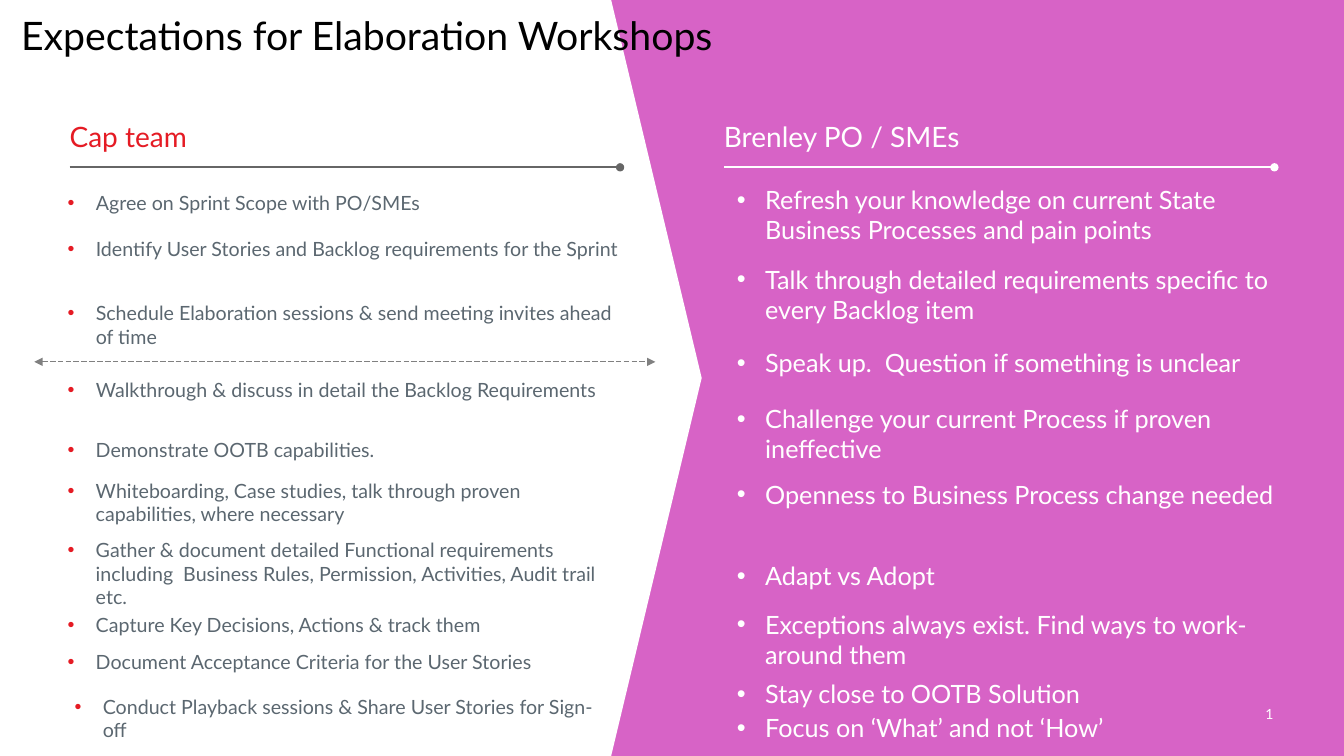
from dataclasses import dataclass

from lxml.etree import SubElement
from pptx import Presentation
from pptx.dml.color import RGBColor
from pptx.enum.dml import MSO_LINE
from pptx.enum.shapes import MSO_CONNECTOR, MSO_SHAPE
from pptx.enum.text import MSO_ANCHOR, PP_ALIGN
from pptx.oxml.ns import qn
from pptx.util import Inches, Pt


@dataclass(frozen=True)
class Theme:
    font: str = "Lato"
    orchid: str = "D763C6"
    white: str = "FFFFFF"
    black: str = "000000"
    red: str = "E51B24"
    slate: str = "5B6770"
    rule: str = "666666"
    divider: str = "808080"
    title_size: int = 28
    heading_size: int = 20
    team_size: int = 14
    client_size: int = 18
    number_size: int = 10


THEME = Theme()

# Each item: left, top, width, height, text
TEAM_ITEMS = [
    (0.54, 1.89, 5.61, 0.47, "Agree on Sprint Scope with PO/SMEs"),
    (0.54, 2.35, 5.61, 0.51, "Identify User Stories and Backlog requirements for the Sprint"),
    (0.54, 2.99, 5.61, 0.63, "Schedule Elaboration sessions & send meeting invites ahead of time"),
    (0.54, 3.75, 5.61, 0.63, "Walkthrough & discuss in detail the Backlog Requirements"),
    (0.54, 4.34, 5.46, 0.54, "Demonstrate OOTB capabilities."),
    (0.54, 4.75, 5.46, 0.5, "Whiteboarding, Case studies, talk through proven capabilities, where necessary"),
    (0.54, 5.34, 5.46, 0.59, "Gather & document detailed Functional requirements including  Business Rules, "
                             "Permission, Activities, Audit trail etc."),
    (0.54, 6.08, 5.46, 0.32, "Capture Key Decisions, Actions & track them"),
    (0.54, 6.45, 5.46, 0.38, "Document Acceptance Criteria for the User Stories"),
    (0.61, 6.89, 5.46, 0.57, "Conduct Playback sessions & Share User Stories for Sign-off"),
]
CLIENT_ITEMS = [
    (7.18, 1.83, 5.73, 0.63, "Refresh your knowledge on current State Business Processes and pain points"),
    (7.18, 2.62, 5.46, 0.32, "Talk through detailed requirements specific to every Backlog item"),
    (7.18, 3.45, 5.46, 0.32, "Speak up.  Question if something is unclear"),
    (7.18, 4, 5.46, 0.75, "Challenge your current Process if proven ineffective"),
    (7.18, 4.75, 5.46, 0.75, "Openness to Business Process change needed"),
    (7.18, 5.56, 5.46, 0.32, "Adapt vs Adopt"),
    (7.18, 6.04, 5.46, 0.32, "Exceptions always exist. Find ways to work-around them"),
    (7.18, 6.73, 5.46, 0.32, "Stay close to OOTB Solution"),
    (7.18, 7.07, 5.46, 0.32, "Focus on ‘What’ and not ‘How’"),
]


class SlideBuilder:
    def __init__(self, prs, theme):
        self.theme = theme
        self.slide = prs.slides.add_slide(prs.slide_layouts[6])

    def background(self, color):
        fill = self.slide.background.fill
        fill.solid()
        fill.fore_color.rgb = RGBColor.from_string(color)

    def panel(self, left, top, width, height, color, point):
        sp = self.slide.shapes.add_shape(
            MSO_SHAPE.PENTAGON, *map(Inches, (left, top, width, height)))
        sp.adjustments[0] = point
        sp.shadow.inherit = False
        sp.fill.solid()
        sp.fill.fore_color.rgb = RGBColor.from_string(color)
        sp.line.fill.background()

    def text(self, box, text, size, color, anchor=MSO_ANCHOR.TOP, **para_format):
        """Add a margin-free text box and return its paragraph."""
        tf = self.slide.shapes.add_textbox(*map(Inches, box)).text_frame
        frame_format = dict(word_wrap=True, vertical_anchor=anchor, margin_left=0,
                            margin_top=0, margin_right=0, margin_bottom=0)
        for name, value in frame_format.items():
            setattr(tf, name, value)
        p = tf.paragraphs[0]
        for name, value in para_format.items():
            setattr(p, name, value)
        if text:
            p.add_run().text = text
        for r in p.runs:
            self.style(r.font, size, color)
        return p

    def style(self, font, size, color):
        for name, value in dict(name=self.theme.font, size=Pt(size)).items():
            setattr(font, name, value)
        font.color.rgb = RGBColor.from_string(color)

    def bullet(self, box, text, size, color, bullet_color):
        p = self.text(box, text, size, color, level=1)
        pPr = p._p.get_or_add_pPr()
        pPr.set("marL", str(Inches(0.41)))
        pPr.set("indent", str(Inches(-0.28)))
        SubElement(SubElement(pPr, qn("a:buClr")), qn("a:srgbClr")).set("val", bullet_color)
        SubElement(pPr, qn("a:buFont")).set("typeface", "Arial")
        SubElement(pPr, qn("a:buChar")).set("char", "•")

    def slide_number(self, box, number, size, color):
        """Add a live slide-number field showing the given number."""
        p = self.text(box, number, size, color, MSO_ANCHOR.BOTTOM, alignment=PP_ALIGN.RIGHT)
        run = p.runs[0]._r
        fld = SubElement(p._p, qn("a:fld"))
        fld.set("id", "{B6F15528-21DE-4FAA-801E-634DDDAF4B2B}")
        fld.set("type", "slidenum")
        fld.extend(list(run))
        p._p.remove(run)

    def line(self, left, right, y, color, width, dash=None, **ends):
        """Add a horizontal line; ends maps headEnd and tailEnd to marker types."""
        cxn = self.slide.shapes.add_connector(
            MSO_CONNECTOR.STRAIGHT, *map(Inches, (left, y, right, y)))
        cxn.line.color.rgb = RGBColor.from_string(color)
        cxn.line.width = Pt(width)
        if dash:
            cxn.line.dash_style = dash
        for tag, kind in ends.items():
            SubElement(cxn.line._ln, qn(f"a:{tag}")).set("type", kind)
        SubElement(cxn._element.spPr, qn("a:effectLst"))

    def column(self, left, heading, heading_color, rule_color, items, size, color, bullet_color):
        self.text((left, 1.18, 5.46, 0.34), heading, self.theme.heading_size,
                  heading_color, MSO_ANCHOR.BOTTOM)
        self.line(left, left + 5.46, 1.66, rule_color, 1.5, tailEnd="oval")
        for *box, text in items:
            self.bullet(box, text, size, color, bullet_color)


def main():
    prs = Presentation()
    prs.slide_width, prs.slide_height = Inches(13.33), Inches(7.5)
    t = THEME
    s = SlideBuilder(prs, t)
    s.background(t.orchid)
    s.panel(0, 0, 6.96, 7.5, t.white, 0.129)
    s.slide_number((12.21, 7, 0.42, 0.17), "4", t.number_size, t.white)
    s.text((0.21, 0.11, 11.13, 0.53), "Expectations for Elaboration Workshops",
           t.title_size, t.black, MSO_ANCHOR.MIDDLE, line_spacing=0.9)
    s.column(0.69, "Cap team", t.red, t.rule, TEAM_ITEMS, t.team_size, t.slate, t.red)
    s.column(7.18, "Brenley PO / SMEs", t.white, t.white, CLIENT_ITEMS,
             t.client_size, t.white, t.white)
    s.line(0.34, 6.5, 3.59, t.divider, 0.5, MSO_LINE.LONG_DASH,
           headEnd="triangle", tailEnd="triangle")
    prs.save("out.pptx")


if __name__ == "__main__":
    main()
